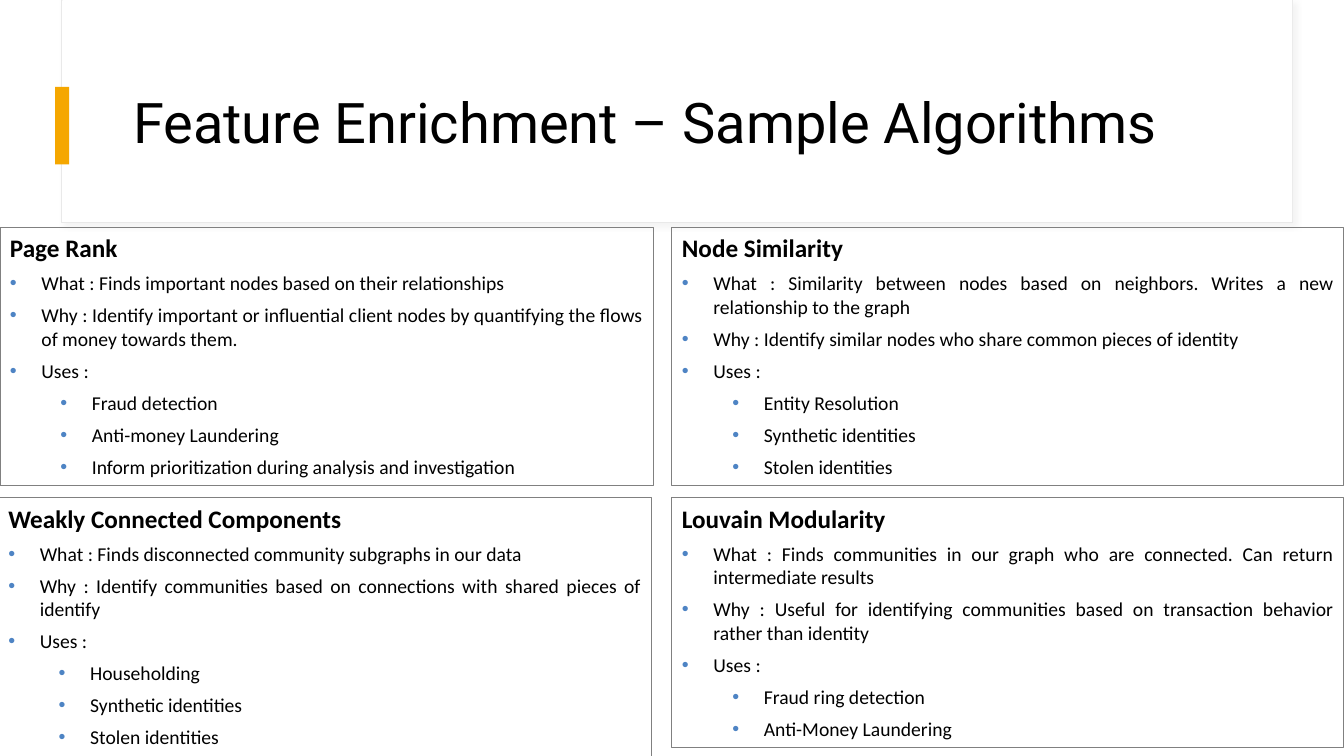
import pptx
import pptx.util
import pptx.dml.color
import pptx.enum.shapes
import pptx.enum.text
import pptx.oxml
import pptx.oxml.ns

Pt = pptx.util.Pt
PP_ALIGN = pptx.enum.text.PP_ALIGN
MSO_ANCHOR = pptx.enum.text.MSO_ANCHOR
RECT = pptx.enum.shapes.MSO_SHAPE.RECTANGLE

# Content
TITLE = "Feature Enrichment – Sample Algorithms"
ALGORITHMS = [
    {"name": "Page Rank", "column": 0, "row": 0,
     "points": ["What : Finds important nodes based on their relationships",
                "Why : Identify important or influential client nodes by "
                "quantifying the flows of money towards them.",
                "Uses :"],
     "uses": ["Fraud detection", "Anti-money Laundering",
              "Inform prioritization during analysis and investigation"]},
    {"name": "Weakly Connected Components", "column": 0, "row": 1,
     "points": ["What : Finds disconnected community subgraphs in our data",
                "Why : Identify communities based on connections with shared "
                "pieces of identify",
                "Uses :"],
     "uses": ["Householding", "Synthetic identities", "Stolen identities"]},
    {"name": "Node Similarity", "column": 1, "row": 0,
     "points": ["What : Similarity between nodes based on neighbors. Writes a "
                "new relationship to the graph",
                "Why : Identify similar nodes who share common pieces of identity",
                "Uses :"],
     "uses": ["Entity Resolution", "Synthetic identities", "Stolen identities"]},
    {"name": "Louvain Modularity", "column": 1, "row": 1,
     "points": ["What : Finds communities in our graph who are connected. Can "
                "return intermediate results",
                "Why : Useful for identifying communities based on transaction "
                "behavior rather than identity",
                "Uses :"],
     "uses": ["Fraud ring detection", "Anti-Money Laundering"]},
]
COLORS = {"white": "FFFFFF", "black": "000000", "accent": "F5A700",
          "frame": "E9E9E9", "shadow": "D9D9D9", "border": "808080",
          "bullet": "4E84C4"}

# Layout in points
COLUMNS = [(0, 466.5), (480, 480)]  # left, width
ROWS = [162.6, 355.7]
BOX_HEIGHT = 184.5
SHORT_BOX_HEIGHT = 178  # Louvain Modularity
LEFT_SHIFT = -1.2  # lower left box
INDENT, LEVEL_STEP = 22.5, 36


def rgb(name):
    return pptx.dml.color.RGBColor.from_string(COLORS[name])


def add_rect(s, left, top, width, height, fill=None, line=None):
    sp = s.shapes.add_shape(RECT, Pt(left), Pt(top), Pt(width), Pt(height))
    sp.shadow.inherit = False
    if fill:
        sp.fill.solid()
        sp.fill.fore_color.rgb = rgb(fill)
    else:
        sp.fill.background()
    if line:
        sp.line.color.rgb = rgb(line)
        sp.line.width = Pt(0.75)
    else:
        sp.line.fill.background()
    return sp


def add_shadow(sp):
    effects = sp.element.spPr.find(pptx.oxml.ns.qn("a:effectLst"))
    effects.append(pptx.oxml.parse_xml(
        f'<a:outerShdw {pptx.oxml.ns.nsdecls("a")} blurRad="{Pt(4)}" '
        f'dist="{Pt(3)}" dir="2700000" algn="tl" rotWithShape="0">'
        f'<a:srgbClr val="{COLORS["shadow"]}"><a:alpha val="30000"/></a:srgbClr>'
        '</a:outerShdw>'))


def add_bullet(p, level):
    p.level = level
    pPr = p._p.get_or_add_pPr()
    pPr.set("marL", str(Pt(INDENT + LEVEL_STEP * level)))
    pPr.set("indent", str(-Pt(INDENT)))
    ns = pptx.oxml.ns.nsdecls("a")
    for xml in (f'<a:buClr {ns}><a:srgbClr val="{COLORS["bullet"]}"/></a:buClr>',
                f'<a:buFont {ns} typeface="Arial"/>',
                f'<a:buChar {ns} char="•"/>'):
        pPr.append(pptx.oxml.parse_xml(xml))


def add_text(p, text, size, font, bold=False):
    r = p.add_run()
    r.text = text
    r.font.size = Pt(size)
    r.font.name = font
    r.font.bold = bold
    r.font.color.rgb = rgb("black")


def add_algorithm(s, algorithm):
    left, width = COLUMNS[algorithm["column"]]
    height = BOX_HEIGHT
    if algorithm["row"] == 1:
        if algorithm["column"] == 0:
            left += LEFT_SHIFT
        else:
            height = SHORT_BOX_HEIGHT
    sp = add_rect(s, left, ROWS[algorithm["row"]], width, height, line="border")
    tf = sp.text_frame
    tf.word_wrap = True
    tf.vertical_anchor = MSO_ANCHOR.TOP
    p = tf.paragraphs[0]
    p.alignment = PP_ALIGN.JUSTIFY
    add_text(p, algorithm["name"], 18, "Calibri", bold=True)
    for level, key in enumerate(("points", "uses")):
        for text in algorithm[key]:
            p = tf.add_paragraph()
            p.alignment = PP_ALIGN.JUSTIFY
            p.space_before = Pt(6)
            add_bullet(p, level)
            add_text(p, text, 14, "Calibri")


def main():
    prs = pptx.Presentation()
    prs.slide_width, prs.slide_height = Pt(960), Pt(540)
    s = prs.slides.add_slide(prs.slide_layouts[5])

    # Header frame and accent bar
    add_shadow(add_rect(s, 44, 0, 879, 159, fill="white", line="frame"))
    add_rect(s, 44.6, 0, 878.4, 158.4, fill="white")
    add_rect(s, 39.4, 62, 10, 55.4, fill="accent")

    # Title, raised above the header frame
    title = s.shapes.title
    s.shapes.element.append(title.element)
    title.left, title.top = Pt(88), Pt(43)
    title.width, title.height = Pt(800), Pt(93)
    tf = title.text_frame
    tf.word_wrap = True
    tf.vertical_anchor = MSO_ANCHOR.MIDDLE
    p = tf.paragraphs[0]
    p.alignment = PP_ALIGN.LEFT
    p.line_spacing = 0.9
    add_text(p, TITLE, 40, "Roboto")

    # Algorithm boxes
    for algorithm in ALGORITHMS:
        add_algorithm(s, algorithm)

    prs.save("out.pptx")


if __name__ == "__main__":
    main()
